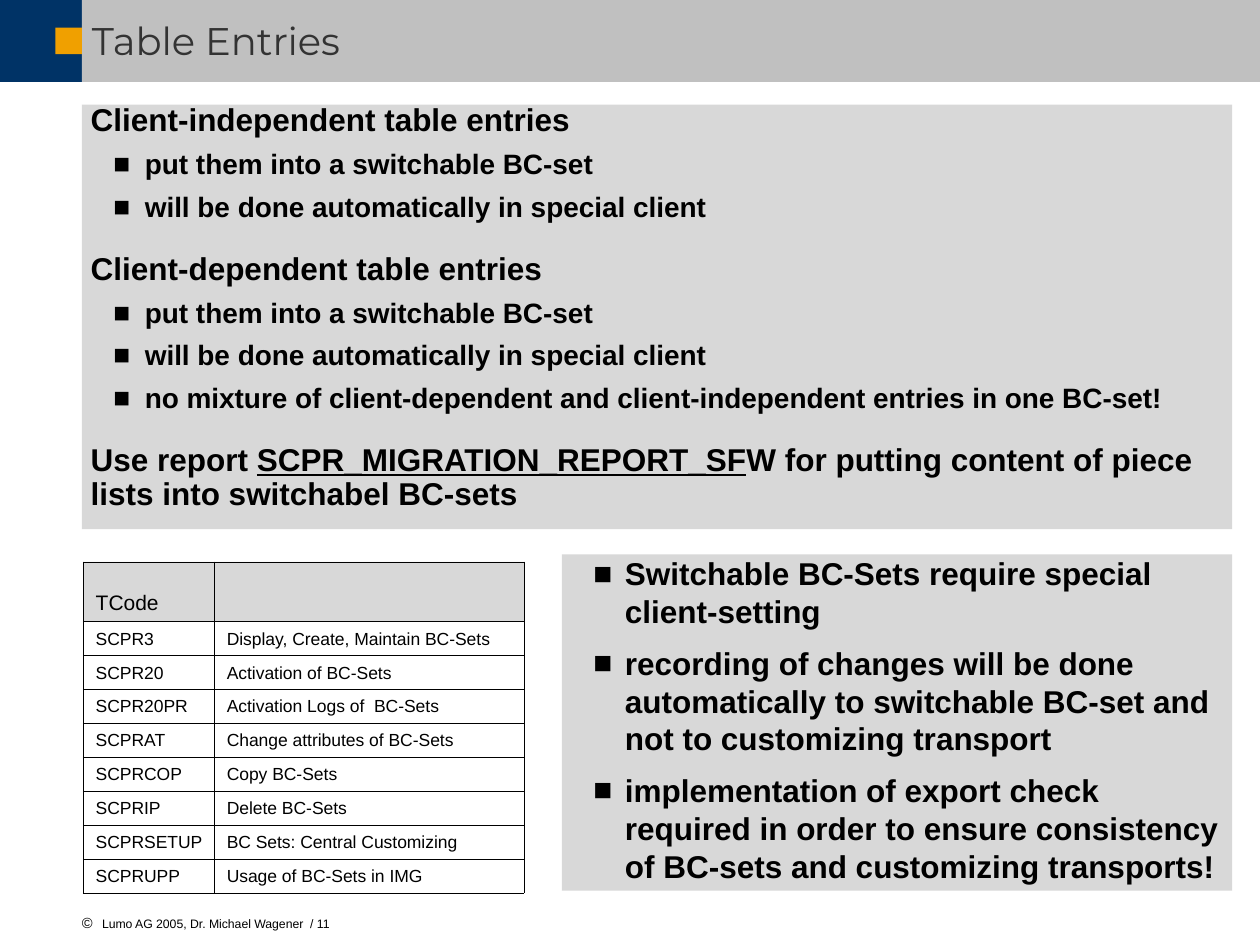
import pptx
import pptx.dml.color
import pptx.enum.shapes
import pptx.enum.text
import pptx.oxml
import pptx.oxml.ns
import pptx.util

INDEPENDENT = ["put them into a switchable BC-set", "will be done automatically in special client"]
DEPENDENT = INDEPENDENT + [
    "no mixture of client-dependent and client-independent entries in one BC-set!"]
REQUIREMENTS = [
    "Switchable BC-Sets require special client-setting",
    "recording of changes will be done automatically to switchable BC-set and "
    "not to customizing transport",
    "implementation of export check required in order to ensure consistency "
    "of BC-sets and customizing transports!",
]
TRANSACTIONS = [
    ("TCode", ""),
    ("SCPR3", "Display, Create, Maintain BC-Sets"),
    ("SCPR20", "Activation of BC-Sets"),
    ("SCPR20PR", "Activation Logs of  BC-Sets"),
    ("SCPRAT", "Change attributes of BC-Sets"),
    ("SCPRCOP", "Copy BC-Sets"),
    ("SCPRIP", "Delete BC-Sets"),
    ("SCPRSETUP", "BC Sets: Central Customizing"),
    ("SCPRUPP", "Usage of BC-Sets in IMG"),
]


def color(value):
    return pptx.dml.color.RGBColor.from_string(value)


def add_xml(parent, tag, content="", attributes=""):
    namespace = pptx.oxml.ns.nsdecls("a")
    parent.append(pptx.oxml.parse_xml(f"<a:{tag} {namespace} {attributes}>{content}</a:{tag}>"))


class EntrySlide:
    """Draws styled elements on one slide, on a grid of 100 columns by 75 rows."""

    CELL = pptx.util.Inches(0.1)
    BLACK, NAVY, SILVER, AMBER, GRAY, CHARCOAL = (
        "000000", "003366", "C0C0C0", "F0A000", "B2B2B2", "333333")

    def __init__(self, deck):
        deck.slide_width, deck.slide_height = self.grid(100, 75)
        self.shapes = deck.slides.add_slide(deck.slide_layouts[6]).shapes

    def grid(self, *lengths):
        return [round(length * self.CELL) for length in lengths]

    def fill(self, target, value, opacity=100):
        target.fill.solid()
        target.fill.fore_color.rgb = color(value)
        if opacity < 100:
            for rgb in target.fill._xPr.iter(pptx.oxml.ns.qn("a:srgbClr")):
                add_xml(rgb, "alpha", attributes=f'val="{opacity * 1000}"')

    def block(self, *area, value, opacity=100):
        block = self.shapes.add_shape(pptx.enum.shapes.MSO_SHAPE.RECTANGLE, *self.grid(*area))
        block.shadow.inherit = False
        block.line.fill.background()
        self.fill(block, value, opacity)
        return block

    def frame(self, shape, anchor):
        frame = shape.text_frame
        frame.word_wrap = True
        frame.vertical_anchor = anchor
        frame.margin_left = frame.margin_top = frame.margin_right = frame.margin_bottom = 0
        return frame

    def panel(self, *area):
        block = self.block(*area, value=self.GRAY, opacity=50)
        return self.frame(block, pptx.enum.text.MSO_ANCHOR.TOP)

    def label(self, *area):
        box = self.shapes.add_textbox(*self.grid(*area))
        return self.frame(box, pptx.enum.text.MSO_ANCHOR.MIDDLE)

    def font(self, paragraph, size, name="Arial", value=BLACK, bold=False):
        font = paragraph.font
        font.size, font.name, font.bold = pptx.util.Pt(size), name, bold
        font.color.rgb = color(value)

    def paragraph(self, frame, text, size, margin=0.7, hanging=0, bullet="", bullet_size=100,
                  before=0, spacing=0.9, **style):
        paragraph = frame.paragraphs[0]
        if paragraph.runs:
            paragraph = frame.add_paragraph()
        paragraph.alignment = pptx.enum.text.PP_ALIGN.LEFT
        paragraph.line_spacing = spacing
        paragraph.space_before = pptx.util.Pt(before)
        properties = paragraph._p.get_or_add_pPr()
        left, indent = self.grid(margin, -hanging)
        properties.set("marL", str(left))
        properties.set("indent", str(indent))
        if bullet:
            add_xml(properties, "buClr", f'<a:srgbClr val="{self.BLACK}"/>')
            add_xml(properties, "buSzPct", attributes=f'val="{bullet_size * 1000}"')
            add_xml(properties, "buFont", attributes='typeface="Arial"')
            add_xml(properties, "buChar", attributes=f'char="{bullet}"')
        self.font(paragraph, size, **style)
        paragraph.add_run().text = text
        return paragraph

    def heading(self, frame, text):
        return self.paragraph(frame, text, 18, before=16.9, bold=True)

    def bullets(self, frame, items, size, before, spacing):
        for item in items:
            self.paragraph(frame, item, size, margin=5, hanging=2.5, bullet="■",
                           before=before, spacing=spacing, bold=True)

    def borders(self, cell):
        properties = cell._tc.get_or_add_tcPr()
        for side in ("lnL", "lnR", "lnT", "lnB"):
            add_xml(properties, side,
                    f'<a:solidFill><a:srgbClr val="{self.BLACK}"/></a:solidFill>',
                    f'w="{pptx.util.Pt(0.45)}"')

    def table(self, left, top, widths, heights, rows):
        area = self.grid(left, top, sum(widths), sum(heights))
        table = self.shapes.add_table(len(rows), len(widths), *area).table
        table.first_row = table.horz_banding = False
        for column, width in zip(table.columns, self.grid(*widths)):
            column.width = width
        for index, (row, height) in enumerate(zip(table.rows, self.grid(*heights))):
            row.height = height
            for cell, text in zip(row.cells, rows[index]):
                cell.text = text
                cell.vertical_anchor = pptx.enum.text.MSO_ANCHOR.BOTTOM
                cell.margin_left, cell.margin_right = self.grid(1, 0.5)
                self.font(cell.text_frame.paragraphs[0], 10 if index else 12)
                self.borders(cell)
                if index:
                    cell.fill.background()
                else:
                    self.fill(cell, self.GRAY, 50)


def main():
    deck = pptx.Presentation()
    slide = EntrySlide(deck)

    slide.block(0, 0, 6.5, 6.5, value=slide.NAVY)
    slide.block(6.5, 0, 93.5, 6.5, value=slide.SILVER)
    slide.block(4.4, 2.2, 2.1, 2.1, value=slide.AMBER)
    footer = slide.label(6.5, 72.8, 39.1, 1.1)
    slide.paragraph(footer, "Lumo AG 2005, Dr. Michael Wagener  / 11", 7, margin=1.6,
                    hanging=1.6, bullet="©", bullet_size=120)
    title = slide.label(6.6, 1.3, 91.3, 4.2)
    slide.paragraph(title, "Table Entries", 22, name="Montserrat", value=slide.CHARCOAL)

    entries = slide.panel(6.5, 8.3, 91.3, 33.7)
    for heading, items in (("Client-independent table entries", INDEPENDENT),
                           ("Client-dependent table entries", DEPENDENT)):
        slide.heading(entries, heading)
        slide.bullets(entries, items, 16, before=7, spacing=0.9)
    advice = slide.heading(entries, "Use report ")
    report = advice.add_run()
    report.text = "SCPR_MIGRATION_REPORT_SF"
    report.font.underline = True
    advice.add_run().text = "W for putting content of piece lists into switchabel BC-sets"

    slide.table(6.6, 44.6, (10.4, 24.6), [4.7] + [2.7] * 8, TRANSACTIONS)
    requirements = slide.panel(44.6, 44, 53.2, 26.7)
    slide.bullets(requirements, REQUIREMENTS, 18, before=7.9, spacing=1)
    deck.save("out.pptx")


if __name__ == "__main__":
    main()
